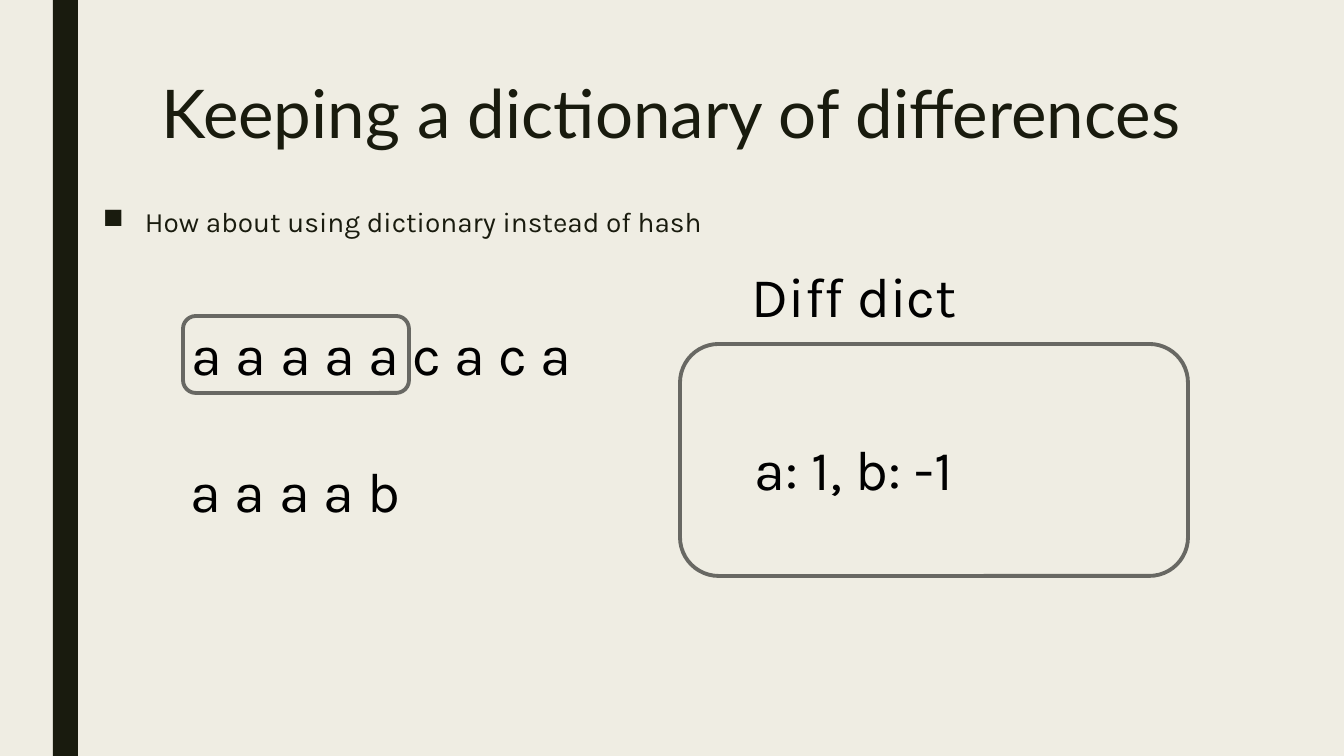
from dataclasses import dataclass

from lxml.etree import SubElement
from pptx import Presentation
from pptx.dml.color import RGBColor
from pptx.enum.shapes import MSO_SHAPE as Preset
from pptx.enum.text import MSO_ANCHOR as Anchor, MSO_AUTO_SIZE as AutoSize, PP_ALIGN as Align
from pptx.oxml.ns import qn
from pptx.shapes.autoshape import Shape
from pptx.slide import Slide
from pptx.util import Emu, Pt

EMU_PER_PX = 914400 / 100.8


@dataclass(frozen=True)
class Theme:
    paper: str = "EFEDE3"
    ink: str = "191B0E"
    black: str = "000000"
    outline: str = "686863"
    title_font: str = "Lato"
    body_font: str = "Karla"
    title_size: int = 48
    body_size: int = 20
    example_size: int = 40
    outline_width: float = 2.75


@dataclass(frozen=True)
class Area:
    left: int
    top: int
    width: int
    height: int


@dataclass(frozen=True)
class Example:
    text: str
    area: Area


THEME = Theme()
PAGE = Area(0, 0, 1344, 756)
SIDE_BAR = Area(53, 0, 25, 756)
TITLE = Area(151, 76, 1172, 163)
QUESTION = Area(93, 202, 1159, 68)
BULLET_INDENT = 42

EXAMPLES = (
    Example("a a a a a c a c a", Area(182, 315, 443, 78)),
    Example("Diff dict", Area(742, 257, 367, 78)),
    Example("a a a a b", Area(181, 452, 367, 78)),
    Example("a: 1, b: -1", Area(745, 430, 477, 78)),
)
FRAMES = (Area(183, 316, 226, 77), Area(680, 344, 508, 232))


def px(length: int) -> Emu:
    return Emu(round(length * EMU_PER_PX))


def bounds(area: Area) -> tuple[Emu, Emu, Emu, Emu]:
    return px(area.left), px(area.top), px(area.width), px(area.height)


def write(box: Shape, text: str, *, font: str = THEME.body_font,
          size: int = THEME.example_size, color: str = THEME.black,
          line_spacing: float = 1.0, space_after: int = 0, bullet: str = "") -> None:
    frame = box.text_frame
    frame.word_wrap = True
    frame.auto_size = AutoSize.NONE
    frame.vertical_anchor = Anchor.TOP
    para = frame.paragraphs[0]
    para.alignment = Align.LEFT
    para.line_spacing = line_spacing
    para.space_before = Pt(0)
    para.space_after = Pt(space_after)
    if bullet:
        properties = para._p.get_or_add_pPr()
        properties.set("marL", str(px(BULLET_INDENT)))
        properties.set("indent", str(-px(BULLET_INDENT)))
        SubElement(properties, qn("a:buChar")).set("char", bullet)
    span = para.add_run()
    span.text = text
    span.font.name = font
    span.font.size = Pt(size)
    span.font.color.rgb = RGBColor.from_string(color)


def add_text(page: Slide, area: Area) -> Shape:
    return page.shapes.add_textbox(*bounds(area))


def add_bar(page: Slide, area: Area) -> None:
    bar = page.shapes.add_shape(Preset.RECTANGLE, *bounds(area))
    bar.shadow.inherit = False
    bar.fill.solid()
    bar.fill.fore_color.rgb = RGBColor.from_string(THEME.ink)
    bar.line.fill.background()


def add_frame(page: Slide, area: Area) -> None:
    frame = page.shapes.add_shape(Preset.ROUNDED_RECTANGLE, *bounds(area))
    frame.shadow.inherit = False
    frame.fill.background()
    frame.line.color.rgb = RGBColor.from_string(THEME.outline)
    frame.line.width = Pt(THEME.outline_width)


def place_title(page: Slide, text: str) -> None:
    title = page.shapes.title
    title.left, title.top, title.width, title.height = bounds(TITLE)
    write(title, text, font=THEME.title_font, size=THEME.title_size,
          color=THEME.ink, line_spacing=0.89)


def main() -> None:
    deck = Presentation()
    deck.slide_width, deck.slide_height = px(PAGE.width), px(PAGE.height)
    page = deck.slides.add_slide(deck.slide_layouts.get_by_name("Title Only"))
    page.background.fill.solid()
    page.background.fill.fore_color.rgb = RGBColor.from_string(THEME.paper)

    add_bar(page, SIDE_BAR)
    place_title(page, "Keeping a dictionary of differences")
    write(add_text(page, QUESTION), "How about using dictionary instead of hash",
          size=THEME.body_size, color=THEME.ink, line_spacing=0.94,
          space_after=2, bullet="■")
    for example in EXAMPLES:
        write(add_text(page, example.area), example.text)
    for area in FRAMES:
        add_frame(page, area)

    deck.save("out.pptx")


if __name__ == "__main__":
    main()
